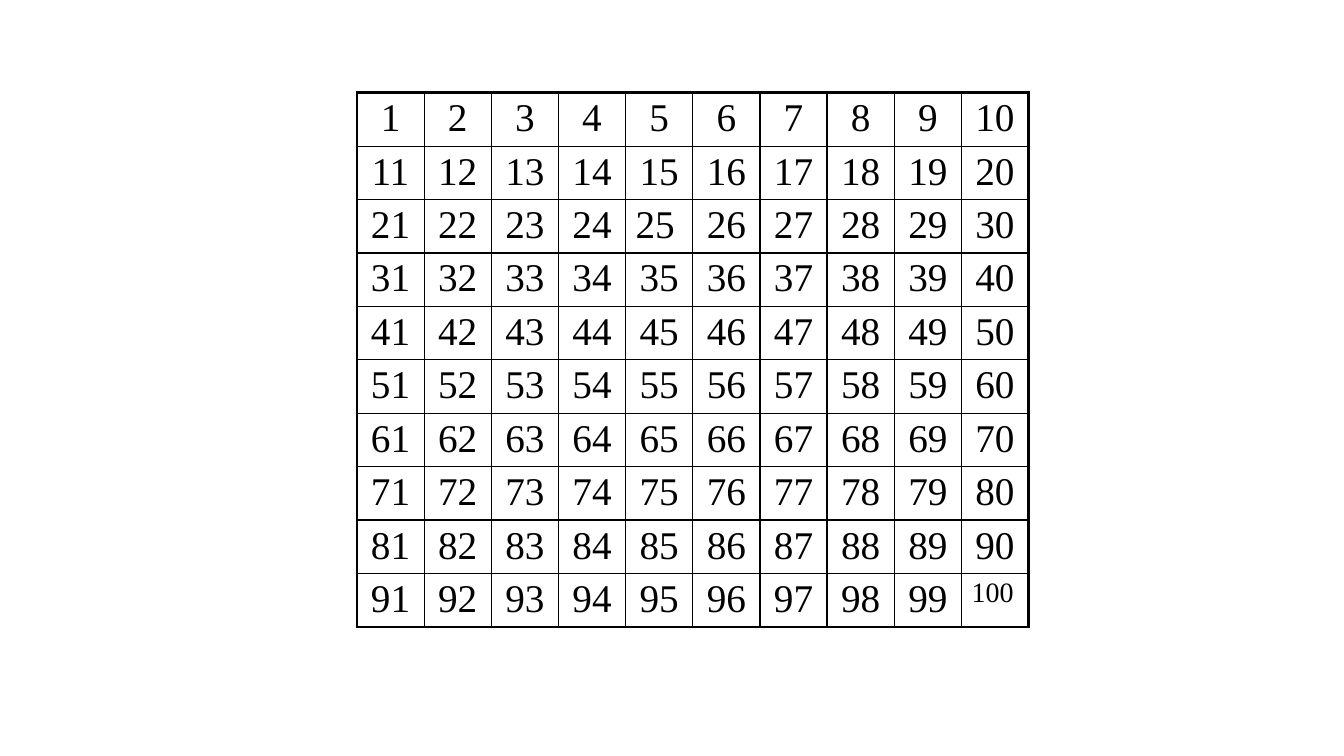
from dataclasses import dataclass

from lxml.etree import SubElement
from pptx import Presentation
from pptx.dml.color import RGBColor
from pptx.enum.text import MSO_ANCHOR, PP_ALIGN
from pptx.oxml.ns import qn
from pptx.util import Inches, Pt


@dataclass(frozen=True)
class Theme:
    font: str = "Times New Roman"
    ink: str = "000000"
    number_size: float = 28
    hundred_size: float = 20
    inner_line: float = 1
    outer_line: float = 2.25


THEME = Theme()
WIDTH, HEIGHT = Inches(13.33), Inches(7.5)
SIDE = 10
COL, ROW = WIDTH // 20, Inches(0.53)
LEFT, TOP = Inches(3.54), Inches(0.92)
LEFT_ALIGNED = {25, 100}


def set_border(cell, side, points):
    """Draw one side of a cell; side is L, R, T or B."""
    ln = SubElement(cell._tc.get_or_add_tcPr(), qn(f"a:ln{side}"), w=str(Pt(points)))
    fill = SubElement(ln, qn("a:solidFill"))
    SubElement(fill, qn("a:srgbClr"), val=THEME.ink)


def frame_cell(cell, row, col):
    """Use the heavy line only on the outside of the chart."""
    outer = {"L": col == 0, "R": col == SIDE - 1, "T": row == 0, "B": row == SIDE - 1}
    for side, is_outer in outer.items():
        set_border(cell, side, THEME.outer_line if is_outer else THEME.inner_line)


def write_number(cell, number):
    cell.margin_left = cell.margin_right = Inches(0.1)
    cell.margin_top = cell.margin_bottom = Inches(0.04)
    cell.vertical_anchor = MSO_ANCHOR.TOP
    p = cell.text_frame.paragraphs[0]
    p.text = str(number)
    p.alignment = PP_ALIGN.LEFT if number in LEFT_ALIGNED else PP_ALIGN.CENTER
    p.font.name = THEME.font
    p.font.size = Pt(THEME.hundred_size if number == 100 else THEME.number_size)
    p.font.color.rgb = RGBColor.from_string(THEME.ink)


def add_hundred_chart(slide):
    frame = slide.shapes.add_table(SIDE, SIDE, LEFT, TOP, SIDE * COL, SIDE * ROW)
    table = frame.table
    table.first_row = table.horz_banding = False
    for column in table.columns:
        column.width = COL
    for row in table.rows:
        row.height = ROW
    for index, cell in enumerate(table.iter_cells()):
        frame_cell(cell, *divmod(index, SIDE))
        cell.fill.background()
        write_number(cell, index + 1)


def main():
    prs = Presentation()
    prs.slide_width, prs.slide_height = WIDTH, HEIGHT
    slide = prs.slides.add_slide(prs.slide_layouts[6])
    add_hundred_chart(slide)
    prs.save("out.pptx")


if __name__ == "__main__":
    main()
